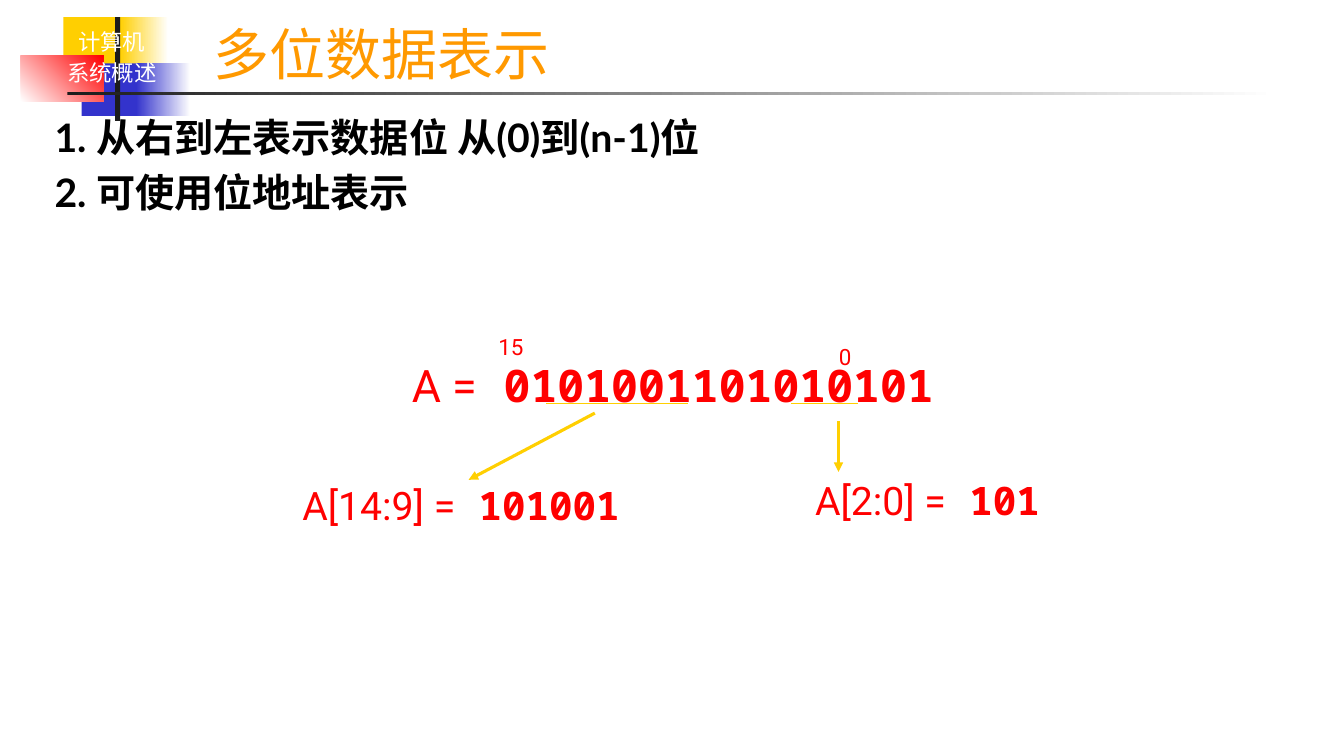
from lxml import etree
from pptx import Presentation
from pptx.dml.color import RGBColor
from pptx.enum.shapes import MSO_CONNECTOR, MSO_SHAPE
from pptx.enum.text import MSO_ANCHOR, MSO_AUTO_SIZE, PP_ALIGN
from pptx.oxml.ns import qn
from pptx.util import Cm, Pt

YELLOW, BLUE, RED = "FFCF01", "3333CC", "FF0000"
WHITE, BLACK, DARK, ORANGE = "FFFFFF", "000000", "1C1C1C", "FF9900"
HEADING, LABEL, DIGITS = "Lato", "Roboto", "Noto Sans Mono"

TITLE = "多位数据表示"
CHAPTER = ["计算机", "系统概述"]
POINTS = ["1. 从右到左表示数据位 从(0)到(n-1)位", "2. 可使用位地址表示"]

TITLE_AREA = (5.13, 0.2, 27.28, 2.11)
BODY_AREA = (1.12, 2.74, 31.6, 15.44)
CHAPTER_AREA = (0.84, 0.58, 3.96, 1.75)

# Area, then one colour for a plain fill or two for a gradient, then the angle
DECORATION = [
    ((1.6, 0.43, 1.63, 1.32), [YELLOW], 0),
    ((3.02, 0.43, 1.22, 1.32), [YELLOW, WHITE], 0),
    ((2.06, 1.6, 1.57, 1.32), [BLUE], 0),
    ((3.43, 1.6, 1.37, 1.32), [BLUE, WHITE], 0),
    ((0.53, 1.4, 2.08, 1.17), [WHITE, RED], 45),
    ((2.9, 0.43, 0.13, 2.62), [DARK], 0),
    ((1.7, 2.31, 30.48, 0.08), [DARK, WHITE], 0),
]

# Area, label, bits, size
EQUATIONS = [
    ((10.13, 8.89, 13.74, 1.63), "A =", " 0101001101010101", 32),
    ((20.29, 11.89, 6.27, 1.45), "A[2:0] =", " 101", 28),
    ((7.37, 12.01, 8.61, 1.45), "A[14:9] =", " 101001", 28),
]
BIT_NUMBERS = [
    ((20.88, 8.53, 0.84, 0.94), "0"),
    ((12.29, 8.28, 1.17, 0.94), "15"),
]
UNDERLINES = [(19.94, 10.16, 21.62, 10.16), (13.77, 10.16, 17.35, 10.16)]
ARROWS = [(21.13, 10.62, 21.13, 11.89), (14.99, 10.41, 11.81, 12.09)]


def color(value):
    return RGBColor.from_string(value)


def lengths(values):
    return [Cm(value) for value in values]


def place(shape, area):
    shape.left, shape.top, shape.width, shape.height = lengths(area)


def add_span(para, text, size, font, ink, bold=False):
    span = para.add_run()
    span.text = text
    span.font.size, span.font.name, span.font.bold = Pt(size), font, bold
    span.font.color.rgb = color(ink)


def write_lines(frame, lines, size, ink, align, bold=False):
    """Fill a frame with paragraphs set apart by a fifth of the text size."""
    for index, line in enumerate(lines):
        para = frame.add_paragraph() if index else frame.paragraphs[0]
        properties = para._p.get_or_add_pPr()
        properties.set("marL", "0")
        properties.set("indent", "0")
        etree.SubElement(properties, qn("a:buNone"))
        para.alignment = align
        para.space_before = Pt(size * 0.2 if index else 0)
        add_span(para, line, size, HEADING, ink, bold)


def add_block(page, area, fills, angle):
    block = page.shapes.add_shape(MSO_SHAPE.RECTANGLE, *lengths(area))
    block.shadow.inherit = False
    block.line.fill.background()
    if len(fills) == 1:
        block.fill.solid()
        block.fill.fore_color.rgb = color(fills[0])
    else:
        block.fill.gradient()
        block.fill.gradient_angle = angle
        for stop, value in zip(block.fill.gradient_stops, fills):
            stop.color.rgb = color(value)
    return block


def add_label(page, area):
    """Add a text box that grows with its unwrapped text."""
    frame = page.shapes.add_textbox(*lengths(area)).text_frame
    frame.word_wrap = False
    frame.auto_size = MSO_AUTO_SIZE.SHAPE_TO_FIT_TEXT
    return frame.paragraphs[0]


def add_line(page, ends, width, arrow=False):
    line = page.shapes.add_connector(MSO_CONNECTOR.STRAIGHT, *lengths(ends))
    line.line.color.rgb = color(YELLOW)
    line.line.width = Pt(width)
    if arrow:
        head = etree.SubElement(line.line._get_or_add_ln(), qn("a:tailEnd"))
        head.set("type", "triangle")
    etree.SubElement(line._element.spPr, qn("a:effectLst"))


def main():
    deck = Presentation()
    deck.slide_width, deck.slide_height = Cm(33.87), Cm(19.05)
    page = deck.slides.add_slide(deck.slide_layouts[1])
    title, body = page.placeholders

    # The decoration lies behind the title and the list
    for area, fills, angle in DECORATION:
        block = add_block(page, area, fills, angle)
        title.element.addprevious(block.element)

    chapter = page.shapes.add_textbox(*lengths(CHAPTER_AREA)).text_frame
    chapter.word_wrap = True
    write_lines(chapter, CHAPTER, 16, WHITE, PP_ALIGN.CENTER)

    place(title, TITLE_AREA)
    title.text_frame.vertical_anchor = MSO_ANCHOR.BOTTOM
    title.text_frame.auto_size = MSO_AUTO_SIZE.NONE
    write_lines(title.text_frame, [TITLE], 40, ORANGE, PP_ALIGN.LEFT)

    place(body, BODY_AREA)
    body.text_frame.auto_size = MSO_AUTO_SIZE.NONE
    write_lines(body.text_frame, POINTS, 28, BLACK, PP_ALIGN.LEFT, bold=True)

    for area, label, bits, size in EQUATIONS:
        para = add_label(page, area)
        add_span(para, label, size, LABEL, RED)
        add_span(para, bits, size, DIGITS, RED, bold=True)
    for area, number in BIT_NUMBERS:
        para = add_label(page, area)
        para.alignment = PP_ALIGN.CENTER
        add_span(para, number, 16, LABEL, RED)

    for ends in UNDERLINES:
        add_line(page, ends, 0.75)
    for ends in ARROWS:
        add_line(page, ends, 2.25, arrow=True)

    deck.save("out.pptx")


if __name__ == "__main__":
    main()
